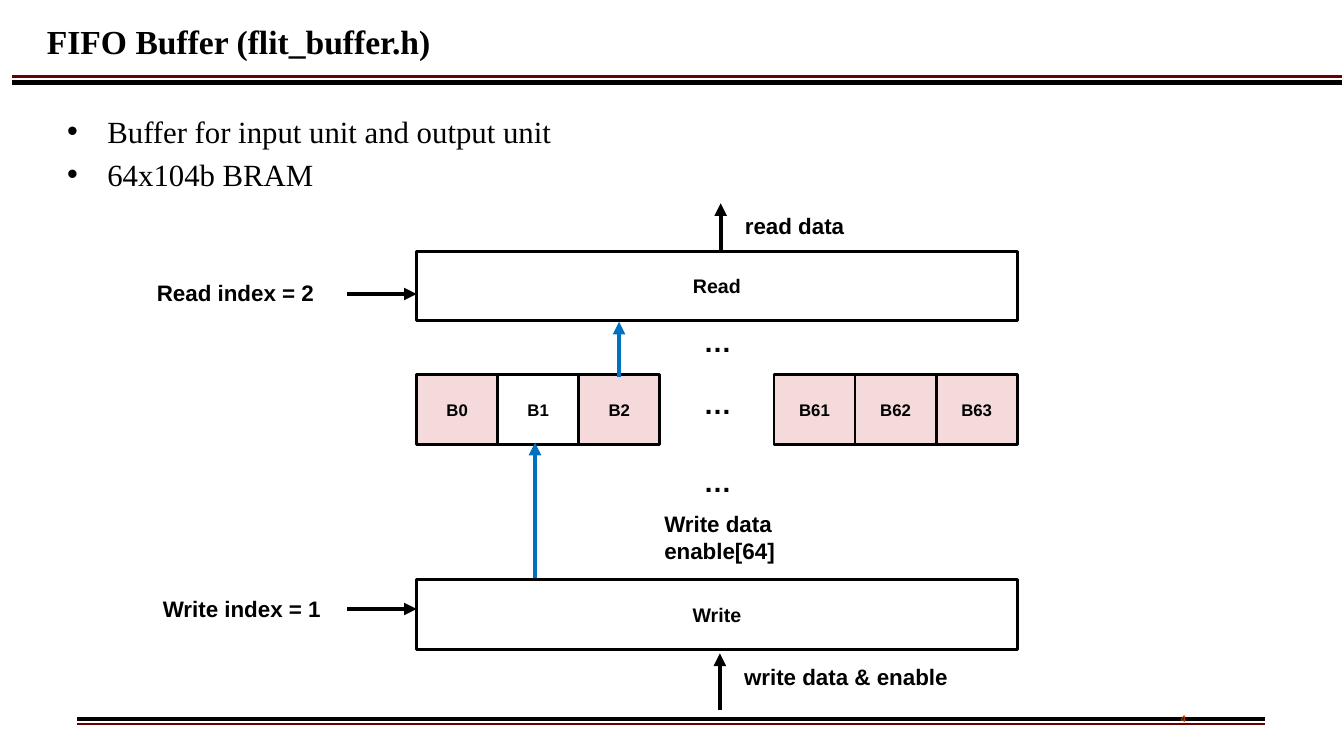
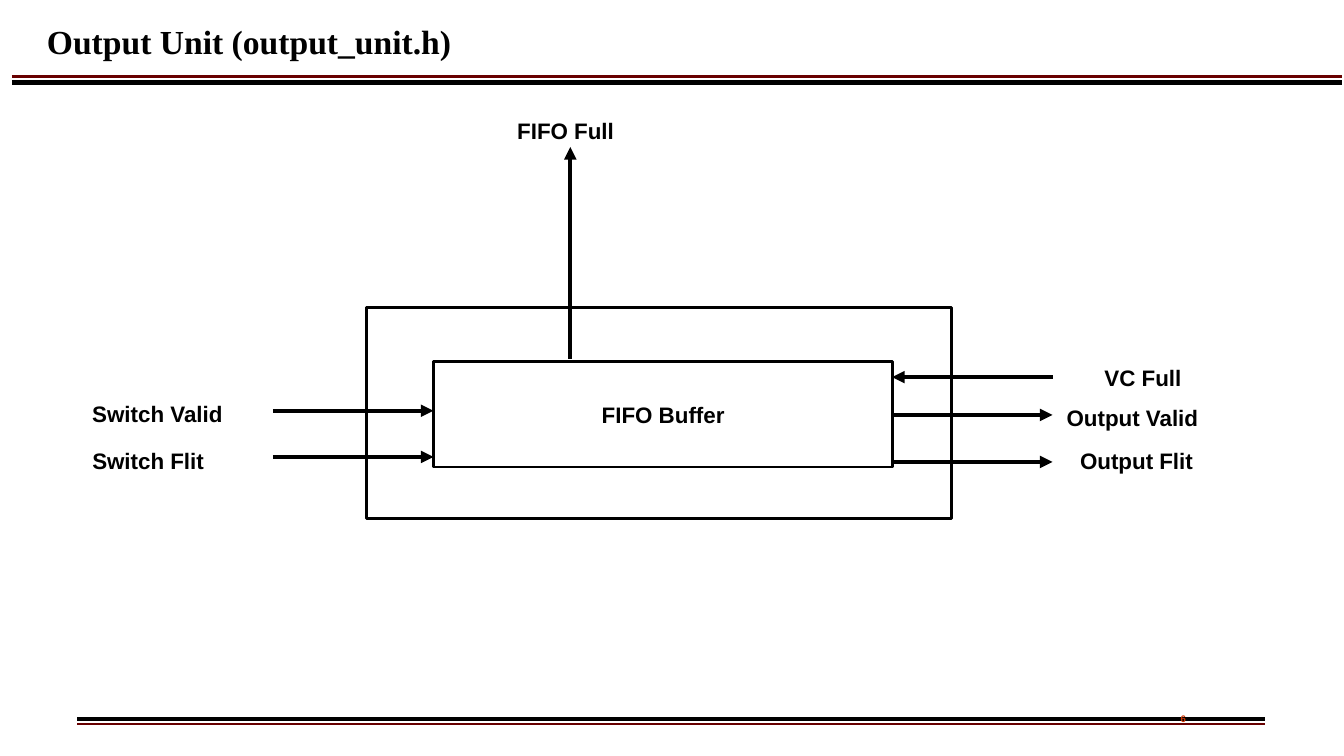
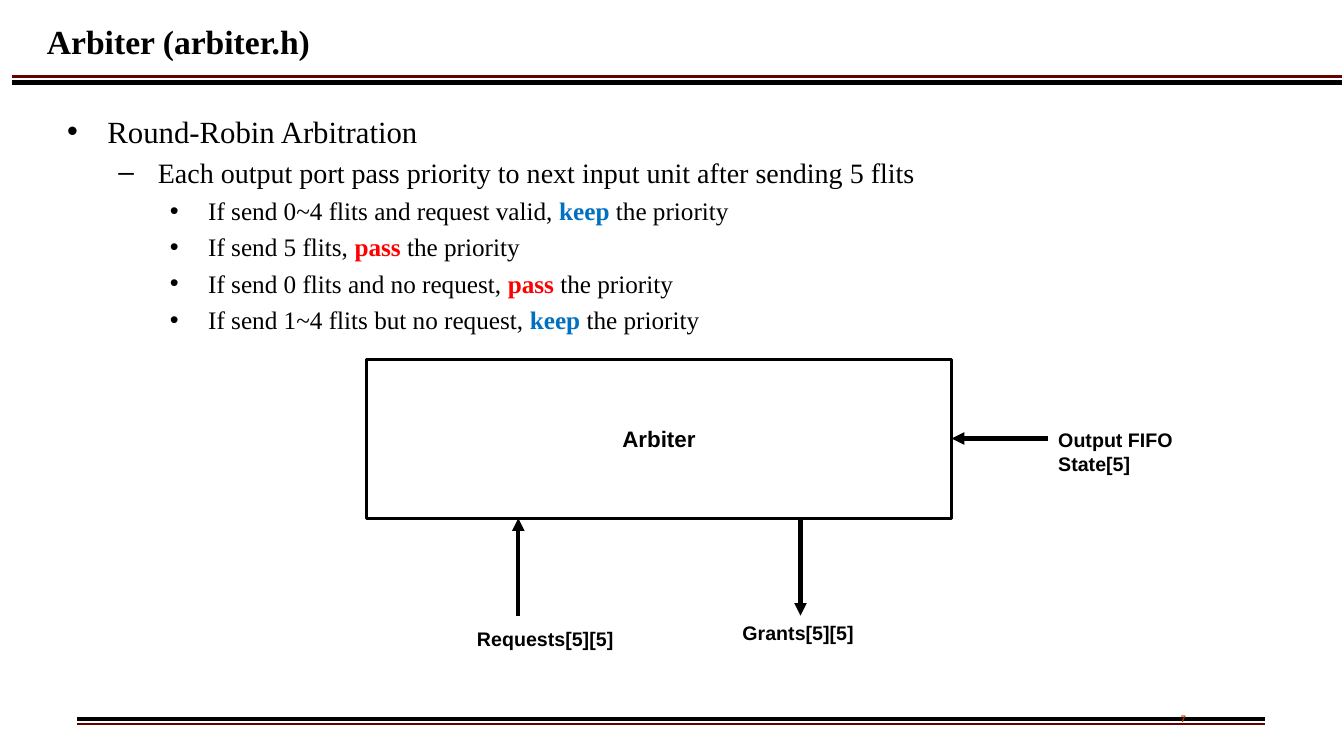
import pptx
import pptx.util
import pptx.dml.color
import pptx.enum.shapes
import pptx.enum.text
import pptx.oxml.ns
import lxml.etree

RGB = pptx.dml.color.RGBColor
BLACK, WHITE = RGB(0, 0, 0), RGB(255, 255, 255)
MAROON = RGB(0x68, 0, 0)
ORANGE = RGB(0xCC, 0x33, 0)
PINK = RGB(0xF4, 0xDA, 0xDA)
BLUE = RGB(0, 0x70, 0xC0)
RED = RGB(255, 0, 0)
SANS, SERIF = "Arial", "Times New Roman"
KEEP, PASS = ("keep", BLUE), ("pass", RED)

# The slide is a grid of 160 columns by 90 rows; all places are in grid units.
COLUMNS, ROWS = 160, 90
WIDTH, HEIGHT = pptx.util.Inches(13.33), pptx.util.Inches(7.5)

# Rules: x1, y1, x2, y2, colour, points
RULES = [
    (9.2, 86.2, 150.6, 86.2, MAROON, 2),
    (9.2, 85.6, 150.6, 85.6, BLACK, 3.5),
    (1.4, 9.1, 159.8, 9.1, MAROON, 2),
    (1.4, 9.8, 159.8, 9.8, BLACK, 3.5),
]
NUMBER_BOX = (134.8, 84.5, 12.1, 2.9)
TITLE_BOX = (4.4, 0.6, 152.5, 8.5)
BODY_BOX = (5.6, 12.8, 149.9, 66.1)
LABEL_ROWS = 4.4

# Outline levels: bullet, text size, left margin and hanging indent in inches
LEVELS = [("\u2022", 22, 0.5, 0.4), ("\u2013", 20, 1, 0.39), ("\u2022", 18, 1.5, 0.38)]

# Memory banks between the read and write units
BANK_LEFT, BANK_RIGHT, BANK_TOP, BANK_ROWS = 49.6, 121.1, 44.6, 8.3
CELL = 9.65
FIRST_BANKS = [("B0", PINK), ("B1", WHITE), ("B2", PINK)]
LAST_BANKS = [("B61", PINK), ("B62", PINK), ("B63", PINK)]
UNIT_COLUMNS = BANK_RIGHT - BANK_LEFT


def bank_row(left, banks):
    """Place banks side by side, starting at the left column."""
    return [((left + i * CELL, BANK_TOP, CELL, BANK_ROWS), name, 12, fill)
            for i, (name, fill) in enumerate(banks)]


# frames lie behind the arrows, blocks in front: box, text, size, fill
# arrows: x1, y1, x2, y2, colour; labels: left, top, columns, lines, size
SLIDES = [
    dict(
        number="4", title="FIFO Buffer (flit_buffer.h)",
        outline=[(0, [("Buffer for input unit and output unit", None)]),
                 (0, [("64x104b BRAM", None)])],
        frames=bank_row(BANK_LEFT, FIRST_BANKS)
        + bank_row(BANK_RIGHT - len(LAST_BANKS) * CELL, LAST_BANKS),
        arrows=[(73.7, 44.9, 73.7, 38.3, BLUE),
                (63.7, 69.8, 63.7, 52.7, BLUE),
                (41.3, 35, BANK_LEFT, 35, BLACK),
                (41.3, 72.5, BANK_LEFT, 72.5, BLACK),
                (85.8, 30.8, 85.8, 24.2, BLACK),
                (85.7, 84.5, 85.7, 77.8, BLACK)],
        labels=[(17.5, 32.6, 25, ["Read index = 2"], 16),
                (87.5, 24.7, 19.1, ["read data"], 16),
                (77.9, 60.1, 35, ["Write data", "enable[64]"], 16),
                (18.2, 70.2, 24.2, ["Write index = 1"], 16),
                (87.4, 78.4, 31.6, ["write data & enable"], 16)]
        + [(82.6, top, 6.7, ["\u2026"], 20) for top in (38, 45.4, 54.7)],
        blocks=[((BANK_LEFT, 29.9, UNIT_COLUMNS, BANK_ROWS), "Read", 14, WHITE),
                ((BANK_LEFT, 69, UNIT_COLUMNS, BANK_ROWS), "Write", 14, WHITE)],
    ),
    dict(
        number="6", title="Output Unit (output_unit.h)", outline=[],
        frames=[((43.6, 36.6, 69.7, 25.1), "", 16, WHITE)],
        arrows=[(67.9, 42.7, 67.9, 17.5, BLACK),
                (32.5, 54.4, 51.6, 54.4, BLACK),
                (32.5, 48.9, 51.6, 48.9, BLACK),
                (125.3, 44.9, 106.2, 44.9, BLACK),
                (106.2, 55, 125.3, 55, BLACK),
                (106.2, 49.4, 125.3, 49.4, BLACK)],
        labels=[(9.8, 52.6, 24.4, ["Switch Flit"], 16),
                (9.8, 47, 24.8, ["Switch Valid"], 16),
                (60.4, 13.3, 15, ["FIFO Full"], 16),
                (127.4, 52.6, 23.9, ["Output Flit"], 16),
                (125.8, 47.5, 25.6, ["Output Valid"], 16),
                (130.3, 42.7, 13.2, ["VC Full"], 16)],
        blocks=[((51.6, 43, 54.7, 12.6), "FIFO Buffer", 16, WHITE)],
    ),
    dict(
        number="7", title="Arbiter (arbiter.h)",
        outline=[
            (0, [("Round-Robin Arbitration", None)]),
            (1, [("Each output port pass priority to next input unit "
                  "after sending 5 flits", None)]),
        ] + [(2, [(case, None), action, (" the priority", None)])
             for case, action in [
                 ("If send 0~4 flits and request valid, ", KEEP),
                 ("If send 5 flits, ", PASS),
                 ("If send 0 flits and no request, ", PASS),
                 ("If send 1~4 flits but no request, ", KEEP)]],
        frames=[((43.6, 42.8, 69.7, 18.9), "Arbiter", 16, WHITE)],
        arrows=[(61.7, 73.3, 61.7, 61.7, BLACK),
                (95.3, 61.7, 95.3, 73.3, BLACK),
                (124.8, 52.2, 113.3, 52.2, BLACK)],
        labels=[(55.6, 74, 19.9, ["Requests[5][5]"], 14),
                (87.2, 73.3, 19.9, ["Grants[5][5]"], 14),
                (124.8, 50.4, 24.5, ["Output FIFO State[5]"], 14)],
        blocks=[],
    ),
]


def place(x, y):
    """Turn a grid position or extent into slide lengths."""
    return round(x / COLUMNS * WIDTH), round(y / ROWS * HEIGHT)


def xml_child(parent, tag, **attributes):
    """Append a drawing element to parent and return it."""
    child = lxml.etree.SubElement(parent, pptx.oxml.ns.qn(tag))
    for key, value in attributes.items():
        child.set(key, value)
    return child


def add_run(paragraph, text, size=16, font=SANS, color=BLACK, bold=True):
    """Add one formatted run to a paragraph."""
    run = paragraph.add_run()
    run.text = text
    run.font.size = pptx.util.Pt(size)
    run.font.name = font
    run.font.bold = bold
    run.font.color.rgb = color


def write(frame, lines, align="LEFT", anchor="TOP", margins=(0.1, 0.05), **style):
    """Fill a text frame with one paragraph for each line."""
    frame.word_wrap = True
    frame.vertical_anchor = getattr(pptx.enum.text.MSO_ANCHOR, anchor)
    frame.margin_left = frame.margin_right = pptx.util.Inches(margins[0])
    frame.margin_top = frame.margin_bottom = pptx.util.Inches(margins[1])
    for i, line in enumerate(lines):
        paragraph = frame.add_paragraph() if i else frame.paragraphs[0]
        paragraph.alignment = getattr(pptx.enum.text.PP_ALIGN, align)
        add_run(paragraph, line, **style)


def text_frame(slide, box):
    """Add a text box and return its text frame."""
    frame = slide.shapes.add_textbox(*place(*box[:2]), *place(*box[2:])).text_frame
    frame.word_wrap = True
    return frame


def add_outline(slide, outline):
    """Add the bulleted outline."""
    frame = text_frame(slide, BODY_BOX)
    for i, (level, runs) in enumerate(outline):
        bullet, size, margin, hanging = LEVELS[level]
        paragraph = frame.add_paragraph() if i else frame.paragraphs[0]
        paragraph.level = level
        paragraph.space_before = pptx.util.Pt(4.4)
        properties = paragraph._p.get_or_add_pPr()
        properties.set("marL", str(pptx.util.Inches(margin)))
        properties.set("indent", str(-pptx.util.Inches(hanging)))
        xml_child(xml_child(properties, "a:buClr"), "a:srgbClr", val=str(BLACK))
        xml_child(properties, "a:buFont", typeface=SANS)
        xml_child(properties, "a:buChar", char=bullet)
        for text, emphasis in runs:
            add_run(paragraph, text, size=size, font=SERIF,
                    color=emphasis or BLACK, bold=emphasis is not None)


def add_line(slide, x1, y1, x2, y2, color, points=3, arrow=False):
    """Add a straight line, with an arrowhead at its end if asked."""
    line = slide.shapes.add_connector(
        pptx.enum.shapes.MSO_CONNECTOR.STRAIGHT, *place(x1, y1), *place(x2, y2))
    line.line.color.rgb = color
    line.line.width = pptx.util.Pt(points)
    if arrow:
        xml_child(line.line._get_or_add_ln(), "a:tailEnd", type="triangle")
    xml_child(line._element.spPr, "a:effectLst")


def add_block(slide, box, text, size, fill):
    """Add an outlined rectangle with centred text."""
    block = slide.shapes.add_shape(
        pptx.enum.shapes.MSO_SHAPE.RECTANGLE, *place(*box[:2]), *place(*box[2:]))
    block.shadow.inherit = False
    block.fill.solid()
    block.fill.fore_color.rgb = fill
    block.line.color.rgb = BLACK
    block.line.width = pptx.util.Pt(2)
    if text:
        write(block.text_frame, [text], align="CENTER", anchor="MIDDLE", size=size)


def add_base(slide, title, number):
    """Add what every slide shares: rules, page number and title."""
    for rule in RULES:
        add_line(slide, *rule)
    write(text_frame(slide, NUMBER_BOX), [number], align="CENTER",
          margins=(0.06, 0.03), size=6.8, color=ORANGE)
    write(text_frame(slide, TITLE_BOX), [title], anchor="MIDDLE", size=24, font=SERIF)


def build():
    """Build and save the presentation."""
    deck = pptx.Presentation()
    deck.slide_width, deck.slide_height = WIDTH, HEIGHT
    for content in SLIDES:
        slide = deck.slides.add_slide(deck.slide_layouts[6])
        add_base(slide, content["title"], content["number"])
        if content["outline"]:
            add_outline(slide, content["outline"])
        for frame in content["frames"]:
            add_block(slide, *frame)
        for arrow in content["arrows"]:
            add_line(slide, *arrow, arrow=True)
        for left, top, columns, lines, size in content["labels"]:
            box = (left, top, columns, LABEL_ROWS * len(lines))
            write(text_frame(slide, box), lines, size=size)
        for block in content["blocks"]:
            add_block(slide, *block)
    deck.save("out.pptx")


build()
